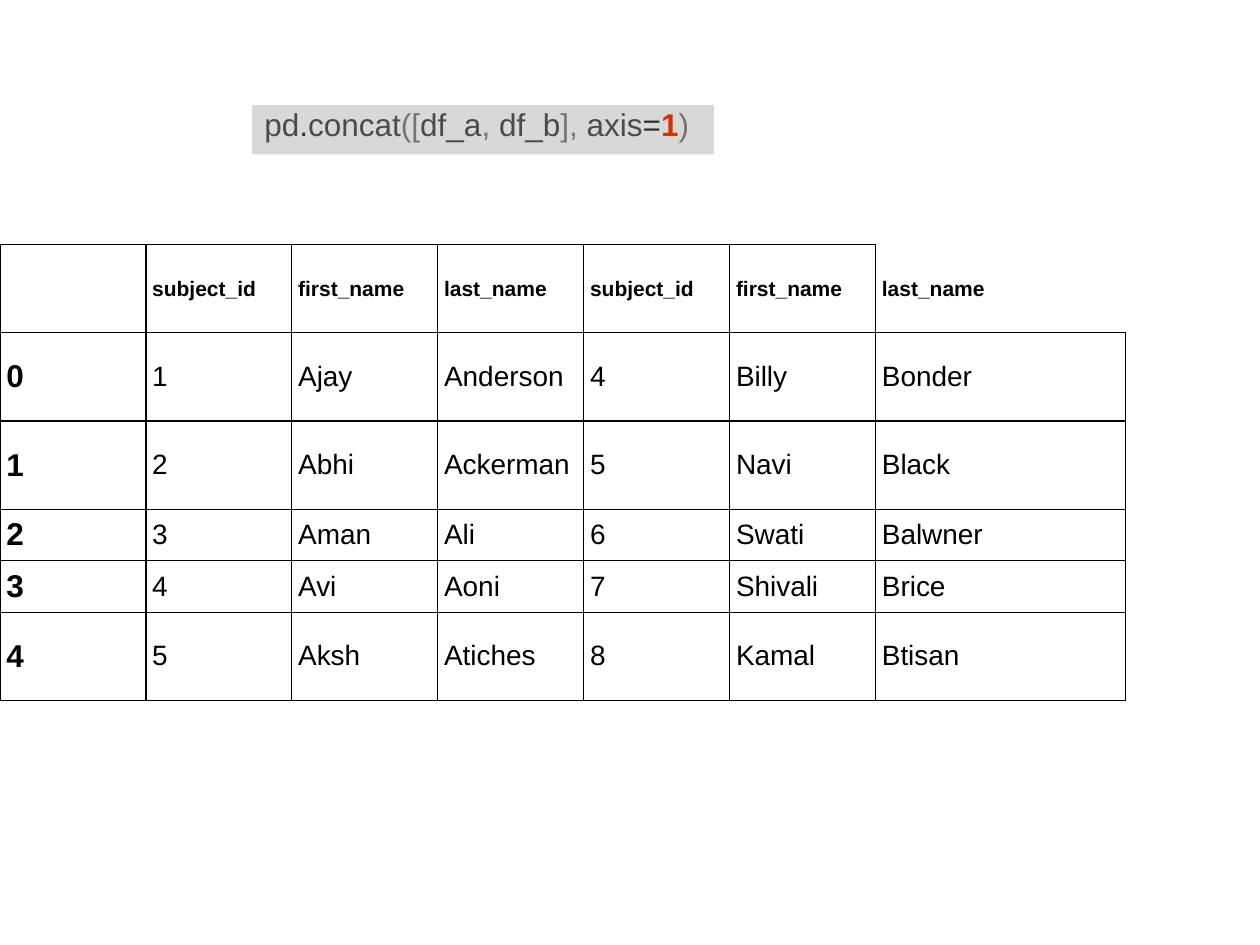
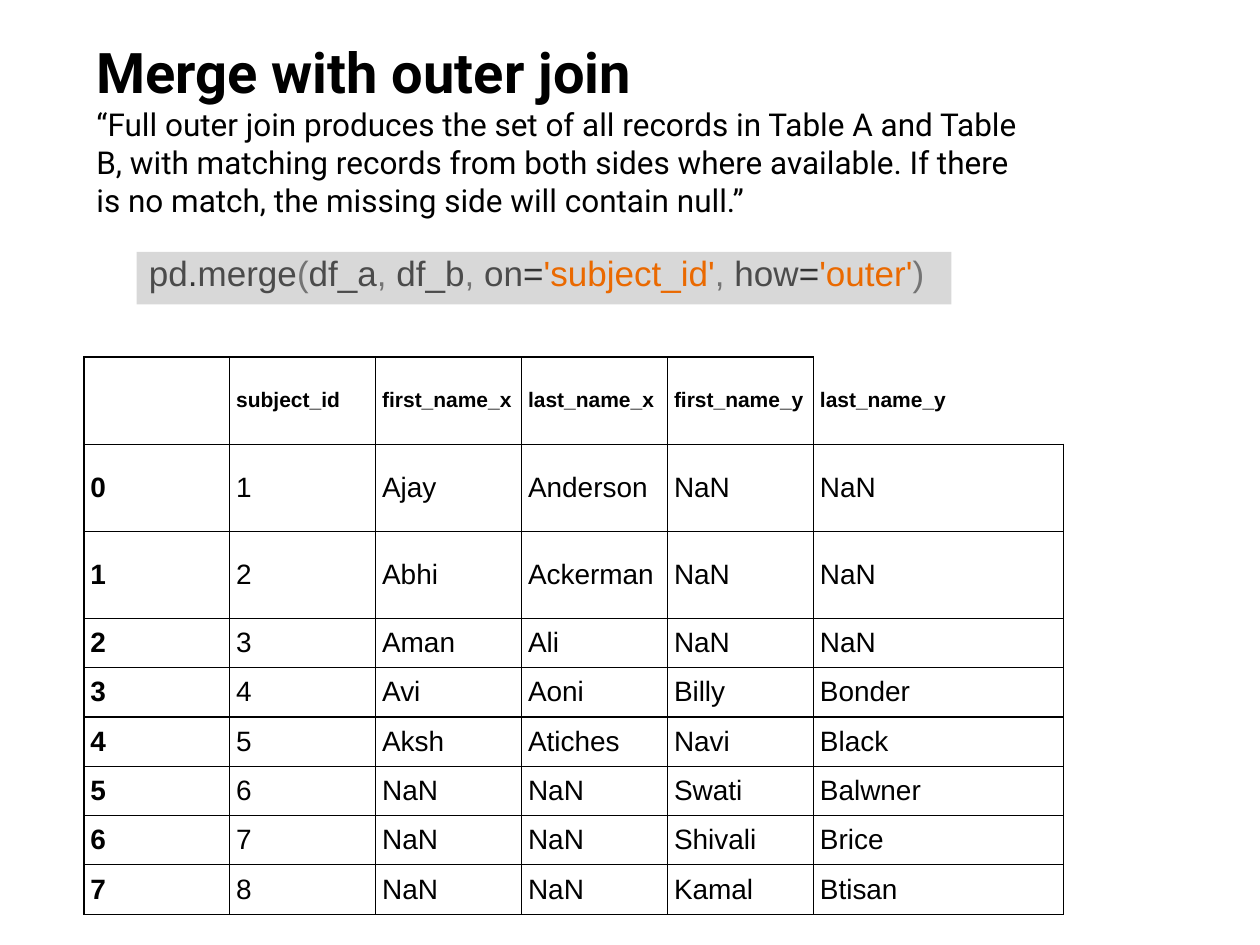
from lxml.etree import SubElement
from pptx import Presentation
from pptx.dml.color import RGBColor
from pptx.enum.shapes import MSO_SHAPE
from pptx.enum.text import MSO_ANCHOR, PP_ALIGN
from pptx.oxml.ns import qn
from pptx.util import Inches, Pt

COLORS = {
    "paper": "FFFFFF", "ink": "000000", "band": "D8D8D8",
    "name": "4B4B4B", "operator": "333333", "mark": "747474",
    "number": "D63200", "string": "EA6900",
}

# Grid of 12 columns by 9 rows of square units
UNIT = Inches(10) / 12
INDEX_WIDTH, LAST_WIDTH = 1.39, 2.38


def grid(*units):
    return [round(unit * UNIT) for unit in units]


def write(paragraph, text, *, size, color="ink", bold=False, font="Arial"):
    paragraph.alignment = PP_ALIGN.LEFT
    run = paragraph.add_run()
    run.text = text
    run.font.name, run.font.size, run.font.bold = font, Pt(size), bold
    run.font.color.rgb = RGBColor.from_string(COLORS[color])


concat_page = {
    "code_at": (2.4, 1, 4.4, 0.47),
    "code_size": 18,
    "code": [("pd", "name"), (".", "operator"), ("concat", "name"), ("([", "mark"),
             ("df_a", "name"), (", ", "mark"), ("df_b", "name"), ("], ", "mark"),
             ("axis", "name"), ("=", "operator"), ("1", "number"), (")", "mark")],
    "table_at": (0, 2.33),
    "row_heights": [0.84] * 3 + [0.49] * 2 + [0.84],
    "index_size": 18,
    "records": [
        ["", "subject_id", "first_name", "last_name",
         "subject_id", "first_name", "last_name"],
        ["0", "1", "Ajay", "Anderson", "4", "Billy", "Bonder"],
        ["1", "2", "Abhi", "Ackerman", "5", "Navi", "Black"],
        ["2", "3", "Aman", "Ali", "6", "Swati", "Balwner"],
        ["3", "4", "Avi", "Aoni", "7", "Shivali", "Brice"],
        ["4", "5", "Aksh", "Atiches", "8", "Kamal", "Btisan"],
    ],
}
merge_page = {
    "code_at": (1.3, 2.4, 7.76, 0.5),
    "code_size": 20,
    "code": [("pd", "name"), (".", "operator"), ("merge", "name"), ("(", "mark"),
             ("df_a", "name"), (", ", "mark"), ("df_b", "name"), (", ", "mark"),
             ("on", "name"), ("=", "operator"), ("'subject_id'", "string"),
             (", ", "mark"), ("how", "name"), ("=", "operator"),
             ("'outer'", "string"), (")", "mark")],
    "table_at": (0.8, 3.4),
    "row_heights": [0.83] * 3 + [0.47] * 6,
    "index_size": 16,
    "records": [
        ["", "subject_id", "first_name_x", "last_name_x", "first_name_y", "last_name_y"],
        ["0", "1", "Ajay", "Anderson", "NaN", "NaN"],
        ["1", "2", "Abhi", "Ackerman", "NaN", "NaN"],
        ["2", "3", "Aman", "Ali", "NaN", "NaN"],
        ["3", "4", "Avi", "Aoni", "Billy", "Bonder"],
        ["4", "5", "Aksh", "Atiches", "Navi", "Black"],
        ["5", "6", "NaN", "NaN", "Swati", "Balwner"],
        ["6", "7", "NaN", "NaN", "Shivali", "Brice"],
        ["7", "8", "NaN", "NaN", "Kamal", "Btisan"],
    ],
}

deck = Presentation()
deck.slide_width, deck.slide_height = grid(12, 9)

for page in (concat_page, merge_page):
    slide = deck.slides.add_slide(deck.slide_layouts[6])

    # Code line on its grey band
    band = slide.shapes.add_shape(MSO_SHAPE.RECTANGLE, *grid(*page["code_at"]))
    band.shadow.inherit = False
    band.fill.solid()
    band.fill.fore_color.rgb = RGBColor.from_string(COLORS["band"])
    band.line.fill.background()
    code = band.text_frame
    code.word_wrap = True
    code.vertical_anchor = MSO_ANCHOR.MIDDLE
    code.margin_top, code.margin_bottom = 0, Inches(0.09)
    for token, kind in page["code"]:
        write(code.paragraphs[0], token, size=page["code_size"], color=kind,
              bold=kind == "number")

    # Resulting data frame
    records = page["records"]
    last = len(records[0]) - 1
    widths = [INDEX_WIDTH] * last + [LAST_WIDTH]
    heights = page["row_heights"]
    frame = slide.shapes.add_table(
        len(records), len(widths),
        *grid(*page["table_at"], sum(widths), sum(heights))).table
    frame.first_row = frame.horz_banding = False
    for column, width in zip(frame.columns, grid(*widths)):
        column.width = width
    for row, height in zip(frame.rows, grid(*heights)):
        row.height = height

    for r, record in enumerate(records):
        for c, value in enumerate(record):
            cell = frame.cell(r, c)
            cell.vertical_anchor = MSO_ANCHOR.MIDDLE
            cell.margin_left = cell.margin_right = Inches(0.05)
            cell.margin_top = cell.margin_bottom = Inches(0.05)
            open_corner = r == 0 and c == last

            # The last heading stays open at its top and right
            properties = cell._tc.get_or_add_tcPr()
            for side in "LRTB":
                edge = SubElement(properties, qn(f"a:ln{side}"), w=str(Pt(0.75)))
                if open_corner and side in "RT":
                    SubElement(edge, qn("a:noFill"))
                else:
                    ink = SubElement(edge, qn("a:solidFill"))
                    SubElement(ink, qn("a:srgbClr"), val=COLORS["ink"])

            if open_corner:
                cell.fill.background()
            else:
                cell.fill.solid()
                cell.fill.fore_color.rgb = RGBColor.from_string(COLORS["paper"])
            if value:
                size = 12 if r == 0 else page["index_size"] if c == 0 else 16
                write(cell.text_frame.paragraphs[0], value, size=size,
                      bold=r == 0 or c == 0)

# Heading and definition of the outer join
intro = slide.shapes.add_textbox(*grid(0.8, 0.3, 9.2, 1.86)).text_frame
intro.word_wrap = True
write(intro.paragraphs[0], "Merge with outer join", size=32, bold=True, font="Roboto")
write(intro.add_paragraph(),
      "“Full outer join produces the set of all records in Table A and Table B, "
      "with matching records from both sides where available. If there is no match, "
      "the missing side will contain null.”", size=18, font="Roboto")

deck.save("out.pptx")
